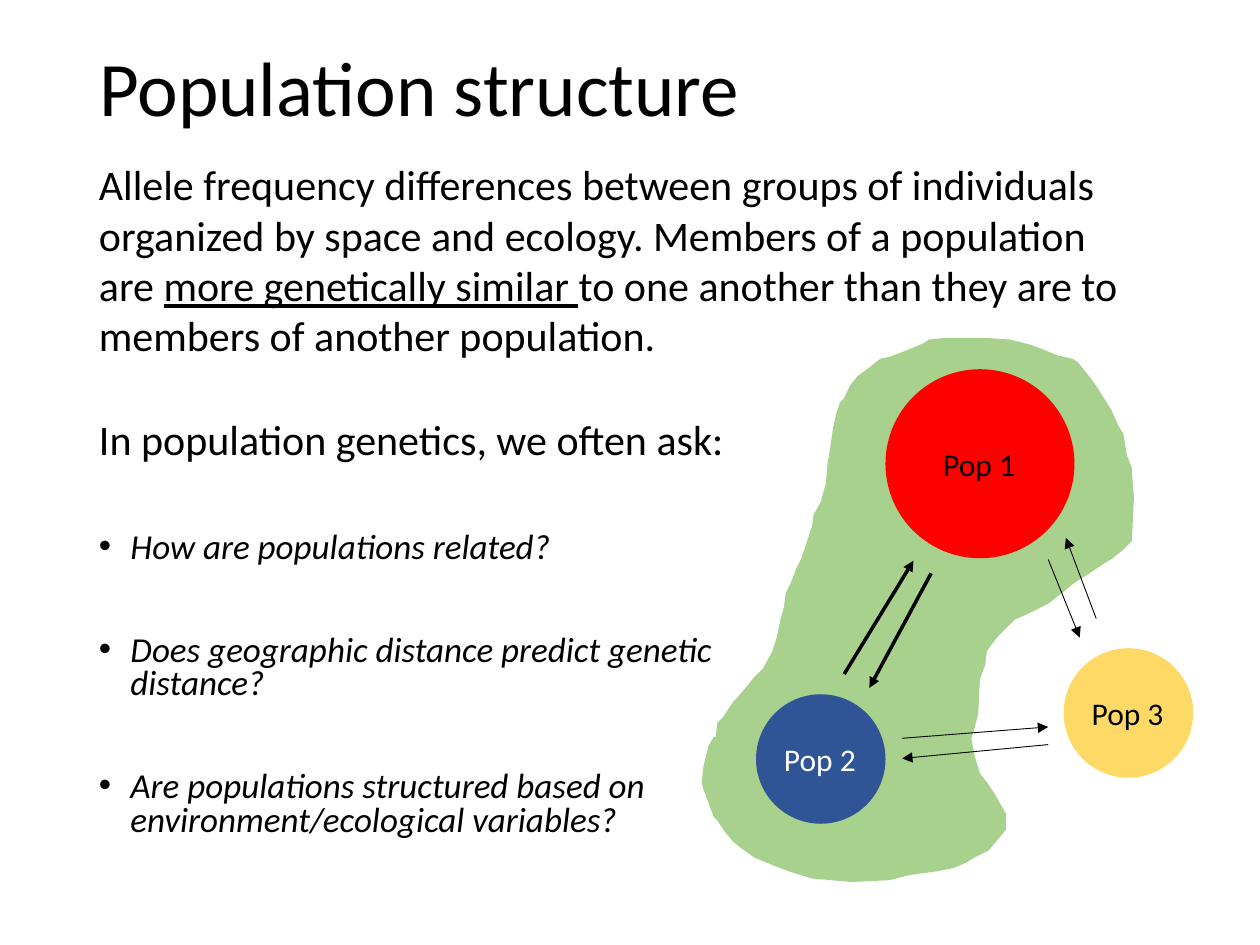
from lxml import etree
from pptx import Presentation
from pptx.dml.color import RGBColor
from pptx.enum.shapes import MSO_CONNECTOR, MSO_SHAPE
from pptx.enum.text import MSO_ANCHOR, MSO_AUTO_SIZE, PP_ALIGN
from pptx.oxml.ns import qn
from pptx.util import Pt

LINE = MSO_CONNECTOR.STRAIGHT
OVAL = MSO_SHAPE.OVAL
MID, TOP = MSO_ANCHOR.MIDDLE, MSO_ANCHOR.TOP
FIT, FIXED = MSO_AUTO_SIZE.SHAPE_TO_FIT_TEXT, MSO_AUTO_SIZE.NONE
LEFT = PP_ALIGN.LEFT
BLACK, WHITE = "000000", "FFFFFF"

COAST = [
    (8, 228), (9, 220), (12, 217), (18, 208), (20, 206), (26, 199), (30, 194),
    (35, 189), (40, 180), (43, 171), (45, 161), (47, 154), (48, 146), (51, 140),
    (54, 132), (57, 126), (60, 117), (63, 108), (64, 101), (68, 94), (71, 83),
    (72, 71), (73, 66), (75, 52), (77, 43), (79, 37), (81, 35), (85, 27),
    (89, 22), (97, 16), (102, 12), (107, 11), (115, 8), (120, 6), (127, 3),
    (130, 1), (140, 0), (161, 0), (176, 1), (188, 4), (196, 7), (203, 10),
    (212, 12), (215, 14), (223, 24), (227, 30), (234, 41), (238, 50), (241, 55),
    (243, 67), (246, 75), (246, 79), (247, 91), (246, 113), (246, 116),
    (241, 121), (235, 126), (230, 129), (221, 135), (213, 140), (207, 145),
    (198, 152), (186, 158), (179, 161), (174, 166), (169, 171), (163, 179),
    (162, 187), (159, 195), (158, 215), (156, 223), (154, 229), (156, 239),
    (159, 249), (163, 254), (167, 260), (171, 267), (174, 272), (174, 281),
    (169, 287), (164, 293), (156, 297), (151, 300), (144, 303), (134, 305),
    (119, 307), (107, 310), (86, 311), (74, 310), (63, 309), (50, 305),
    (42, 302), (30, 297), (23, 292), (18, 288), (13, 282), (9, 276), (7, 274),
    (4, 266), (1, 258), (0, 254), (1, 245), (4, 233), (7, 228),
]
POPS = [
    ("Pop 1", 105, 18, 108, "FF0000", BLACK),
    ("Pop 2", 31, 203.7, 74, "2F5597", WHITE),
    ("Pop 3", 206.8, 177.4, 74, "FFD966", BLACK),
]
FLOWS = [
    (131.1, 134.6, 95.8, 200.1, 2),
    (81.4, 192.2, 121, 127.4, 2),
    (114.5, 228.9, 198, 222.4, 0.5),
    (198, 232.5, 114.5, 240.4, 0.5),
    (198, 126.7, 216, 171.3, 0.5),
    (225.4, 160.5, 208.1, 114.4, 0.5),
]
ASKS = [
    "How are populations related?",
    "Does geographic distance predict genetic distance?",
    "Are populations structured based on environment/ecological variables?",
]


def tint(code):
    return RGBColor.from_string(code)


def apply(obj, form):
    for key, val in form.items():
        setattr(obj, key, val)


def place(shape, box):
    names = ("left", "top", "width", "height")
    apply(shape, dict(zip(names, map(Pt, box))))


def write(para, text, size, color=BLACK, **form):
    run = para.add_run()
    run.text = text
    apply(run.font, {"name": "Calibri", "size": Pt(size), **form})
    run.font.color.rgb = tint(color)


def note(slide, box, **form):
    frame = slide.shapes.add_textbox(*map(Pt, box)).text_frame
    apply(frame, {"word_wrap": True, "vertical_anchor": TOP, **form})
    return frame


def paint(shape, color):
    shape.shadow.inherit = False
    shape.fill.solid()
    shape.fill.fore_color.rgb = tint(color)
    shape.line.fill.background()


def head(slide, box):
    title = slide.shapes.title
    place(title, box)
    frame = title.text_frame
    apply(frame, {"vertical_anchor": MID, "auto_size": FIXED, "word_wrap": True})
    para = frame.paragraphs[0]
    apply(para, {"alignment": LEFT, "line_spacing": 0.9})
    write(para, "Population structure", 44)


def intro(slide, box):
    para = note(slide, box, auto_size=FIT).paragraphs[0]
    write(para, "Allele frequency differences between groups of individuals "
          "organized by space and ecology. Members of a population are ", 24)
    write(para, "more genetically similar ", 24, underline=True)
    write(para, "to one another than they are to members of another population.", 24)


def bullet(para):
    props = para._p.get_or_add_pPr()
    props.set("marL", str(Pt(18)))
    props.set("indent", str(Pt(-18)))
    etree.SubElement(props, qn("a:buFont"), typeface="Arial")
    etree.SubElement(props, qn("a:buChar"), char="•")


def asks(slide, box):
    frame = note(slide, box)
    para = frame.paragraphs[0]
    apply(para, {"line_spacing": 0.8, "space_before": Pt(10)})
    write(para, "In population genetics, we often ask:", 24)
    for text in ASKS:
        para = frame.add_paragraph()
        apply(para, {"line_spacing": 0.8, "space_before": Pt(39.5)})
        bullet(para)
        write(para, text, 20, italic=True)


def land(slide, left, top):
    spots = [(Pt(left + x), Pt(top + y)) for x, y in COAST]
    path = slide.shapes.build_freeform(*spots[0], scale=1.0)
    path.add_line_segments(spots[1:], close=True)
    paint(path.convert_to_shape(), "A9D18E")


def group(slide, left, top, size, name, fill, ink):
    disc = slide.shapes.add_shape(OVAL, *map(Pt, (left, top, size, size)))
    paint(disc, fill)
    wide, high = 56.2, 29
    box = (left + (size - wide) / 2, top + (size - high) / 2, wide, high)
    frame = note(slide, box, word_wrap=False, auto_size=FIT)
    write(frame.paragraphs[0], name, 18, ink)


def arrow(slide, ends, width):
    link = slide.shapes.add_connector(LINE, *map(Pt, ends))
    link.line.width = Pt(width)
    link.line.color.rgb = tint(BLACK)
    etree.SubElement(link.line._get_or_add_ln(), qn("a:tailEnd"), type="triangle")
    etree.SubElement(link._element.spPr, qn("a:effectLst"))


def chart(slide, left, top):
    land(slide, left, top)
    for name, x, y, size, fill, ink in POPS:
        group(slide, left + x, top + y, size, name, fill, ink)
    for x1, y1, x2, y2, width in FLOWS:
        arrow(slide, (left + x1, top + y1, left + x2, top + y2), width)


def main():
    deck = Presentation()
    apply(deck, {"slide_width": Pt(720), "slide_height": Pt(540)})
    slide = deck.slides.add_slide(deck.slide_layouts[5])
    head(slide, (49.5, 0, 621, 104.4))
    chart(slide, 401, 193)
    asks(slide, (49.5, 238.3, 374.4, 252))
    intro(slide, (49.5, 87.1, 607.7, 123.8))
    deck.save("out.pptx")


if __name__ == "__main__":
    main()
